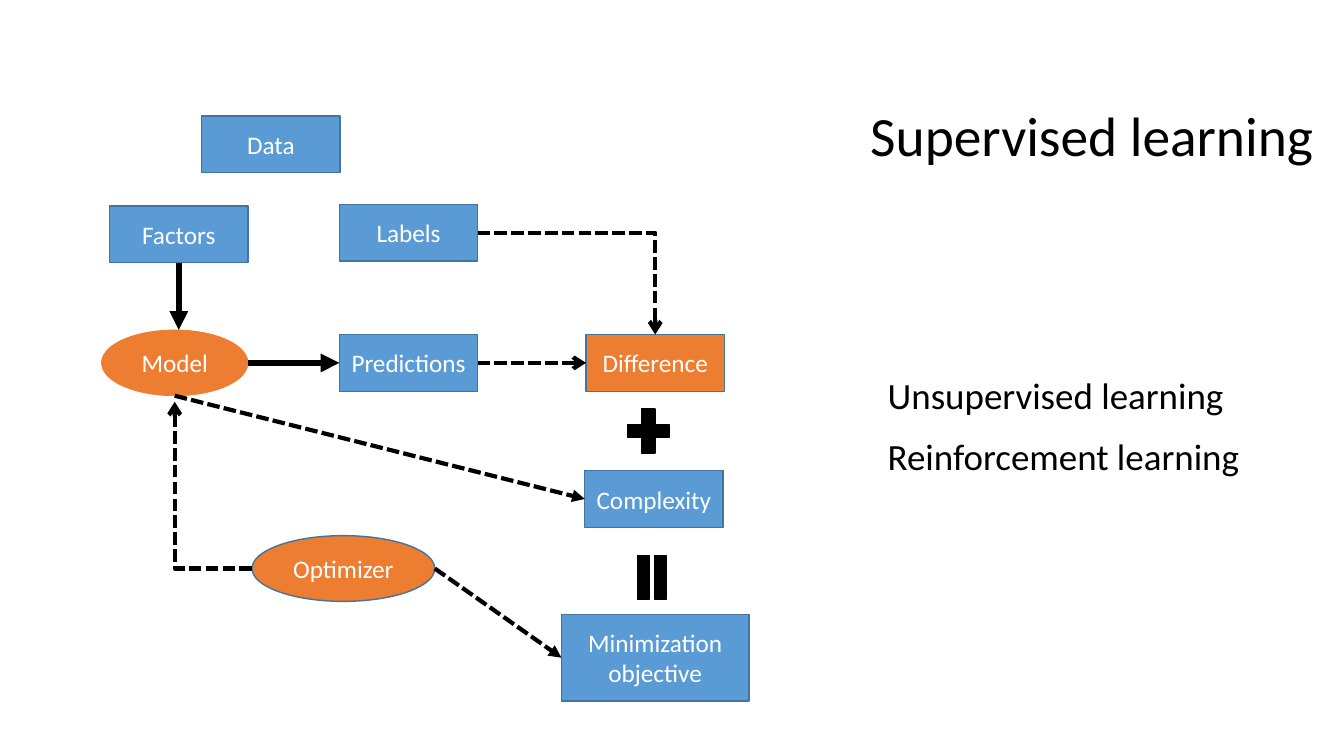
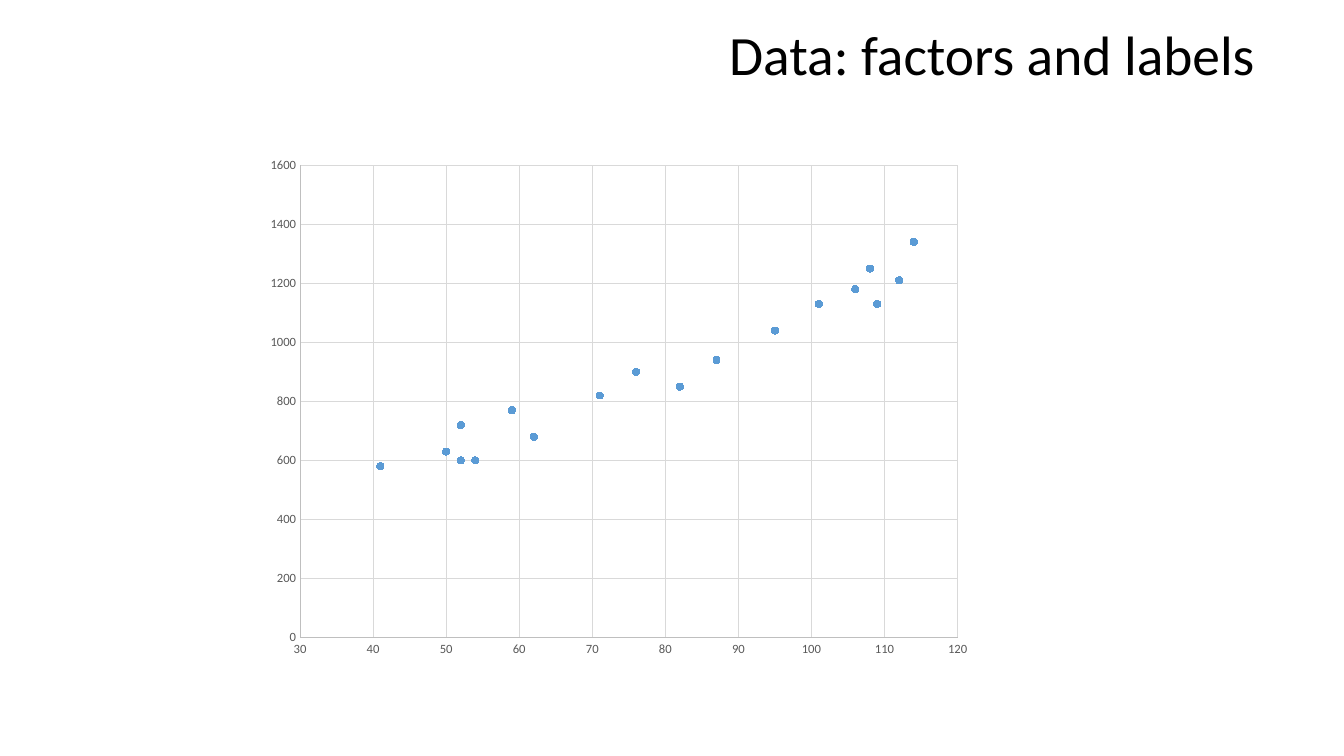
import pptx
import pptx.chart.data
import pptx.dml.color
import pptx.enum.chart
import pptx.enum.dml
import pptx.enum.shapes
import pptx.enum.text
import pptx.oxml.ns
import pptx.util
import lxml.etree

FONT = "Calibri"
BLACK, WHITE, BLUE, ORANGE, EDGE = "000000", "FFFFFF", "5B9BD5", "ED7D31", "43739E"
GRID, AXIS, TICK_TEXT = "D9D9D9", "BFBFBF", "595959"
SHAPES = pptx.enum.shapes.MSO_SHAPE
MIDDLE = pptx.enum.text.MSO_ANCHOR.MIDDLE
LEFT = pptx.enum.text.PP_ALIGN.LEFT
qn = pptx.oxml.ns.qn

deck = pptx.Presentation()
deck.slide_width = pptx.util.Inches(13.33)
deck.slide_height = pptx.util.Inches(7.5)
# The slide is a grid of 100 columns by 100 rows
COLUMN, ROW = deck.slide_width / 100, deck.slide_height / 100


def color(value):
    return pptx.dml.color.RGBColor.from_string(value)


def fill_placeholder(holder, text, area, size, line_spacing, gap=0):
    left, top, width, height = area
    holder.left, holder.top = int(left * COLUMN), int(top * ROW)
    holder.width, holder.height = int(width * COLUMN), int(height * ROW)
    frame = holder.text_frame
    frame.text = text
    frame.word_wrap = True
    frame.auto_size = pptx.enum.text.MSO_AUTO_SIZE.NONE
    frame.vertical_anchor = MIDDLE
    for index, para in enumerate(frame.paragraphs):
        properties = para._p.get_or_add_pPr()
        properties.set("marL", "0")
        properties.set("indent", "0")
        lxml.etree.SubElement(properties, qn("a:buNone"))
        para.alignment = LEFT
        para.line_spacing = line_spacing
        para.space_before = pptx.util.Pt(gap if index else 0)
        para.font.name = FONT
        para.font.size = pptx.util.Pt(size)
        para.font.color.rgb = color(BLACK)


# Slide 1: title and list
page = deck.slides.add_slide(deck.slide_layouts[1])
fill_placeholder(page.shapes.title, "Supervised learning", (64, 10.7, 36, 15.3), 39.6, 0.9)
fill_placeholder(page.placeholders[1], "Unsupervised learning\nReinforcement learning",
                 (65.3, 49.3, 34.7, 15.3), 26.4, 0.7, gap=21.8)

# Diagram nodes: text, preset, centre column and row, size, fill, edge, edge width
BOX, OVAL = (10.28, 7.5), (10.9, 8.7)
nodes = [
    ("Data", SHAPES.RECTANGLE, 20.15, 19.1, BOX, BLUE, EDGE, 1),
    ("Factors", SHAPES.RECTANGLE, 13.3, 31, BOX, BLUE, EDGE, 1),
    ("Labels", SHAPES.RECTANGLE, 30.4, 30.8, BOX, BLUE, EDGE, 1),
    ("Model", SHAPES.OVAL, 13, 48, OVAL, ORANGE, ORANGE, 0.5),
    ("Predictions", SHAPES.RECTANGLE, 30.4, 48, BOX, BLUE, EDGE, 1),
    ("Difference", SHAPES.RECTANGLE, 48.75, 48, BOX, ORANGE, EDGE, 1),
    ("Complexity", SHAPES.RECTANGLE, 48.65, 66, BOX, BLUE, EDGE, 1),
    ("Minimization\nobjective", SHAPES.RECTANGLE, 48.75, 87, (13.95, 11.5), BLUE, EDGE, 1),
    ("Optimizer", SHAPES.OVAL, 25.55, 75.2, (13.6, 8.7), ORANGE, EDGE, 1),
    ("", SHAPES.MATH_PLUS, 48.25, 57, (4.2, 7.9), BLACK, BLACK, 1),
    ("", SHAPES.MATH_EQUAL, 48.5, 76.4, (4.4, 6.4), BLACK, BLACK, 1),
]
sides = {}
for text, preset, x, y, (width, height), fill, edge, edge_width in nodes:
    node = page.shapes.add_shape(preset, int((x - width / 2) * COLUMN), int((y - height / 2) * ROW),
                                 int(width * COLUMN), int(height * ROW))
    node.shadow.inherit = False
    node.fill.solid()
    node.fill.fore_color.rgb = color(fill)
    node.line.color.rgb = color(edge)
    node.line.width = pptx.util.Pt(edge_width)
    if preset == SHAPES.MATH_EQUAL:
        node.rotation = 90
    if not text:
        continue
    frame = node.text_frame
    frame.text = text
    frame.margin_left = frame.margin_right = 0
    frame.vertical_anchor = MIDDLE
    for para in frame.paragraphs:
        para.alignment = pptx.enum.text.PP_ALIGN.CENTER
        para.font.name = FONT
        para.font.size = pptx.util.Pt(18)
        para.font.color.rgb = color(WHITE)
    sides[text] = {
        "left": (x - width / 2, y), "right": (x + width / 2, y),
        "top": (x, y - height / 2), "bottom": (x, y + height / 2),
        "below": (x, y + height / 2 + 0.8),
    }

# Arrows: start, end, route, dashed, head
arrows = [
    ("Factors", "bottom", "Model", "top", "vertical", False, "triangle"),
    ("Model", "right", "Predictions", "left", "straight", False, "triangle"),
    ("Labels", "right", "Difference", "top", "bent", True, "arrow"),
    ("Predictions", "right", "Difference", "left", "straight", True, "arrow"),
    ("Model", "bottom", "Complexity", "left", "straight", True, "triangle"),
    ("Optimizer", "right", "Minimization\nobjective", "left", "straight", True, "triangle"),
    ("Optimizer", "left", "Model", "below", "bent", True, "arrow"),
]
for source, source_side, target, target_side, route, dashed, head in arrows:
    start_x, start_y = sides[source][source_side]
    end_x, end_y = sides[target][target_side]
    if route == "vertical":
        end_x = start_x
    arrow = page.shapes.add_connector(
        pptx.enum.shapes.MSO_CONNECTOR.STRAIGHT, int(start_x * COLUMN), int(start_y * ROW),
        int(end_x * COLUMN), int(end_y * ROW))
    properties = arrow._element.spPr
    if route == "bent":
        properties.find(qn("a:prstGeom")).set("prst", "bentConnector2")
    arrow.line.color.rgb = color(BLACK)
    arrow.line.width = pptx.util.Pt(3 if dashed else 4.5)
    if dashed:
        arrow.line.dash_style = pptx.enum.dml.MSO_LINE.SQUARE_DOT
    lxml.etree.SubElement(properties.find(qn("a:ln")), qn("a:tailEnd")).set("type", head)
    lxml.etree.SubElement(properties, qn("a:effectLst"))

# Slide 2: title and scatter chart
page = deck.slides.add_slide(deck.slide_layouts[5])
fill_placeholder(page.shapes.title, "Data: factors and labels", (53.5, 0, 42, 15.3), 39.6, 0.9)

points = [
    (87, 940), (52, 600), (114, 1340), (71, 820), (76, 900), (54, 600),
    (112, 1210), (101, 1130), (41, 580), (82, 850), (50, 630), (62, 680),
    (59, 770), (109, 1130), (106, 1180), (108, 1250), (52, 720), (95, 1040),
]
data = pptx.chart.data.XyChartData()
series_data = data.add_series("Series 1")
for factor, label in points:
    series_data.add_data_point(factor, label)
chart = page.shapes.add_chart(
    pptx.enum.chart.XL_CHART_TYPE.XY_SCATTER, int(19.05 * COLUMN), int(19.5 * ROW),
    int(54 * COLUMN), int(68.7 * ROW), data).chart
chart.has_title = False
chart.has_legend = False
chart.font.name = FONT
chart.font.size = pptx.util.Pt(10)
chart.font.color.rgb = color(BLACK)
chart.plots[0].vary_by_categories = False

series = chart.plots[0].series[0]
series.smooth = False
series.format.line.fill.background()
series.marker.style = pptx.enum.chart.XL_MARKER_STYLE.CIRCLE
series.marker.size = 5
series.marker.format.fill.solid()
series.marker.format.fill.fore_color.rgb = color(BLUE)
series.marker.format.line.color.rgb = color(BLUE)

for axis, low, high, step in [(chart.category_axis, 30, 120, 10), (chart.value_axis, 0, 1600, 200)]:
    axis.minimum_scale, axis.maximum_scale, axis.major_unit = low, high, step
    axis.major_tick_mark = axis.minor_tick_mark = pptx.enum.chart.XL_TICK_MARK.NONE
    axis.has_major_gridlines = True
    for line, shade in [(axis.format.line, AXIS), (axis.major_gridlines.format.line, GRID)]:
        line.color.rgb = color(shade)
        line.width = pptx.util.Pt(0.75)
    axis.tick_labels.font.name = FONT
    axis.tick_labels.font.size = pptx.util.Pt(9)
    axis.tick_labels.font.color.rgb = color(TICK_TEXT)

deck.save("out.pptx")
